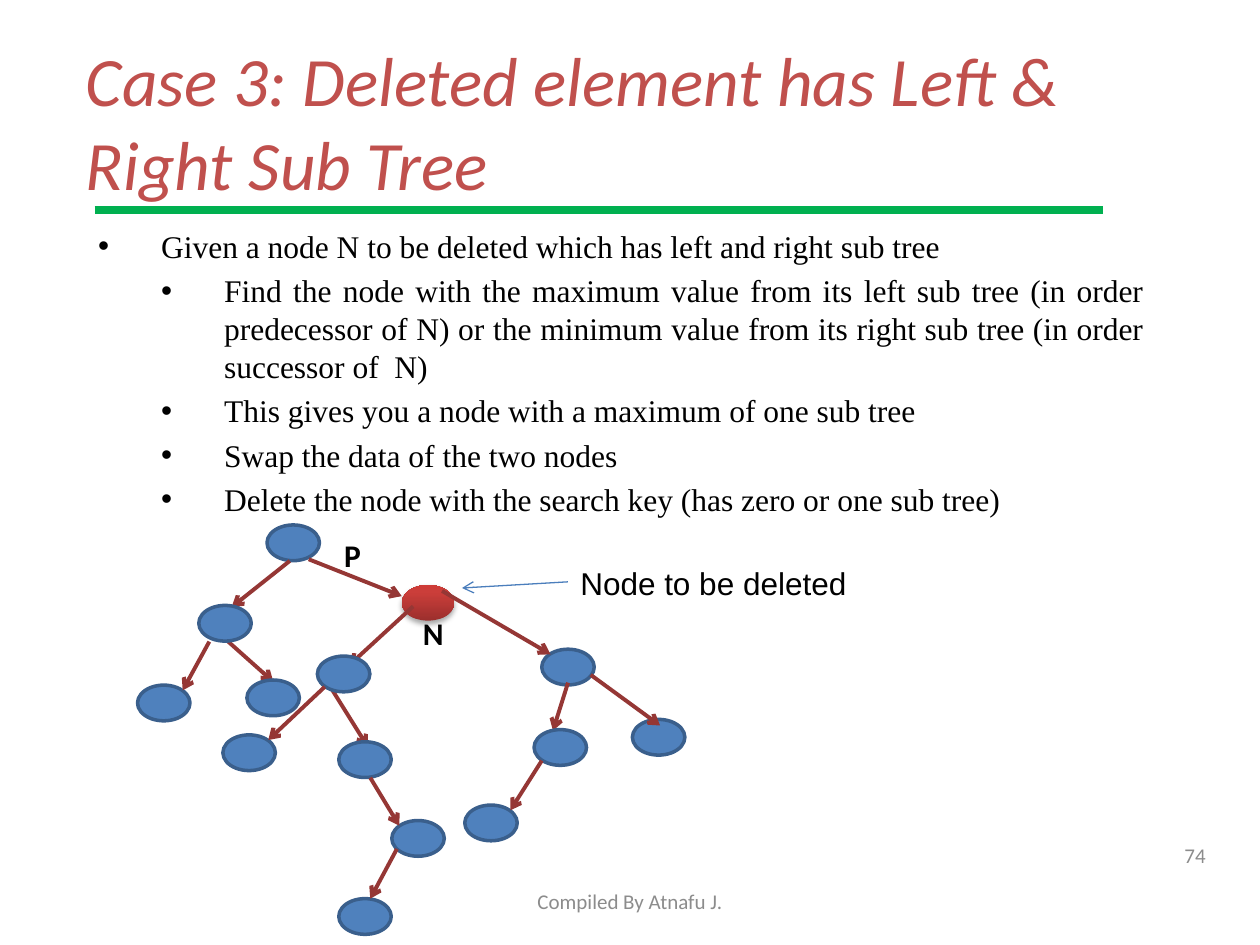
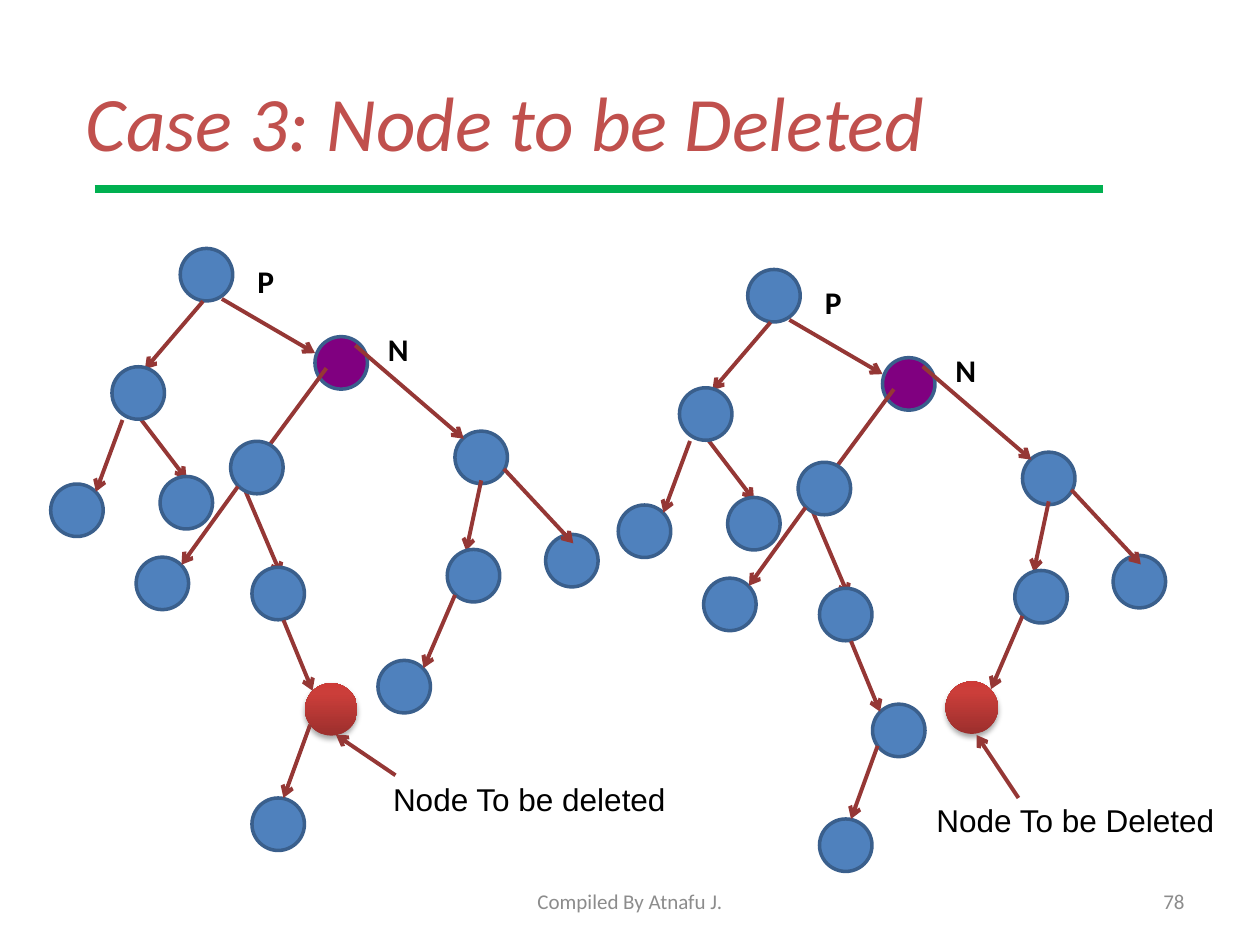
from copy import deepcopy
from lxml.etree import SubElement as Sub
from pptx import Presentation
from pptx.dml.color import RGBColor as Rgb
from pptx.enum.shapes import MSO_CONNECTOR as Link, MSO_SHAPE as Form
from pptx.enum.text import MSO_ANCHOR as Anchor, PP_ALIGN as Align
from pptx.oxml.ns import qn
from pptx.util import Pt

HUES = {
    "title": "C0504D", "rule": "00B050", "text": "000000", "foot": "8C8C8C",
    "node": "4F81BD", "rim": "3A5F8C", "edge": "953735", "note": "4B7EBC",
    "mark": "800080", "dark": "9C2F2D", "mid": "CB3E3A", "top": "CE3B37",
}
FONTS = {
    "title": {"name": "Calibri", "size": Pt(44), "italic": True},
    "body": {"name": "Times New Roman", "size": Pt(18)},
    "note": {"name": "Arial", "size": Pt(18)},
    "label": {"name": "Calibri", "size": Pt(18), "bold": True},
    "foot": {"name": "Calibri", "size": Pt(12)},
}
SIZE = 30
TREE = [
    ("root", (0, 0), None),
    ("lr", (-11.5, 130.3), (-26, 93, 3.6, 131.8)),
    ("left", (-39, 67.6), (13, 30.2, -20.2, 69)),
    ("ll", (-74, 134.6), (-33, 98, -48.2, 139)),
    ("n", (77, 50.4), (23.8, 28.8, 77, 59.8)),
    ("nlr", (41, 182.2), (35.3, 134, 57.6, 186.5)),
    ("nl", (28.8, 110.2), (83.5, 68.4, 46.8, 118)),
    ("nll", (-25.2, 176.4), (33, 136, 0.7, 180.7)),
    ("nr", (157, 104.4), (100, 55.4, 162, 108.7)),
    ("nrl", (152.6, 172), (172, 132.5, 163.4, 172.8)),
    ("nrr", (208.8, 163.4), (185, 126, 224.6, 168.5)),
    ("pre", (71.3, 248.4), (59, 212.4, 75.6, 252.7)),
    ("leaf", (41, 314), (74.2, 272.2, 59, 314)),
    ("suc", (113, 235.4), (157, 198, 139, 239.8)),
]
OVER = {"ll", "nll", "nr", "nrr", "pre", "leaf", "suc"}
BODY = [
    "Given a node N to be deleted which has left and right sub tree",
    "Find the node with the maximum value from its left sub tree (in order "
    "predecessor of N) or the minimum value from its right sub tree (in order "
    "successor of  N)",
    "This gives you a node with a maximum of one sub tree",
    "Swap the data of the two nodes",
    "Delete the node with the search key (has zero or one sub tree)",
]


def hue(key):
    return Rgb.from_string(HUES[key])


def pts(*vals):
    return [Pt(val) for val in vals]


class Deck:
    def __init__(self):
        self.file = Presentation()
        self.file.slide_width, self.file.slide_height = pts(720, 540)

    def page(self, title, rule, num, spot, size=44):
        self.slide = self.file.slides.add_slide(self.file.slide_layouts[6])
        self.text(title, (42, 24, 648, 90), "title", "title",
                  anchor=Anchor.MIDDLE, size=size)
        self.line((54, rule, 630, rule), "rule", 4.25, False)
        self.text(num, (*spot, 168, 29), "foot", "foot", Align.RIGHT, Anchor.MIDDLE)
        self.text("Compiled By Atnafu J.", (246, 500.5, 228, 29), "foot", "foot",
                  Align.CENTER, Anchor.MIDDLE)

    def style(self, para, kind, color, **more):
        for key, val in {**FONTS[kind], **more}.items():
            setattr(para.font, key, val)
        para.font.color.rgb = hue(color)

    def frame(self, box, anchor=Anchor.TOP, wrap=True):
        frame = self.slide.shapes.add_textbox(*pts(*box)).text_frame
        frame.word_wrap, frame.vertical_anchor = wrap, anchor
        return frame

    def text(self, words, box, kind, color="text", align=Align.LEFT,
             anchor=Anchor.TOP, wrap=True, size=None):
        para = self.frame(box, anchor, wrap).paragraphs[0]
        para.text, para.alignment = words, align
        self.style(para, kind, color, **({"size": Pt(size)} if size else {}))

    def list(self, items, box):
        frame = self.frame(box)
        for i, item in enumerate(items):
            para = frame.add_paragraph() if i else frame.paragraphs[0]
            para.text, para.alignment = item, Align.JUSTIFY
            para.level = min(i, 1)
            para.line_spacing = Pt(21.7)
            para.space_before = Pt(3.6 if i else 0)
            props = para._p.get_or_add_pPr()
            props.set("marL", str(Pt(72 if i else 36)))
            props.set("indent", str(Pt(-36)))
            Sub(props, qn("a:buFont"), typeface="Arial")
            Sub(props, qn("a:buChar"), char="•")
            self.style(para, "body", "text")

    def line(self, ends, color="edge", width=2.25, arrow=True):
        link = self.slide.shapes.add_connector(Link.STRAIGHT, *pts(*ends))
        link.line.color.rgb, link.line.width = hue(color), Pt(width)
        if arrow:
            Sub(link.line._get_or_add_ln(), qn("a:tailEnd"), type="arrow")
        Sub(link._element.spPr, qn("a:effectLst"))

    def node(self, box, fill="node"):
        oval = self.slide.shapes.add_shape(Form.OVAL, *pts(*box))
        oval.shadow.inherit = False
        if fill == "red":
            self.gloss(oval)
            return
        oval.fill.solid()
        oval.fill.fore_color.rgb = hue(fill)
        oval.line.color.rgb, oval.line.width = hue("rim"), Pt(2)

    def gloss(self, oval):
        oval.line.fill.background()
        oval.fill.gradient()
        oval.fill.gradient_angle = 90
        props = oval._element.spPr
        stops = props.find(".//" + qn("a:gsLst"))
        stops.append(deepcopy(stops[0]))
        shades = zip(oval.fill.gradient_stops, (0, 0.8, 1), ("dark", "mid", "top"))
        for stop, place, key in shades:
            stop.position, stop.color.rgb = place, hue(key)
        glow = Sub(props.find(qn("a:effectLst")), qn("a:outerShdw"),
                   blurRad=str(Pt(3.1)), dist=str(Pt(1.8)), dir="5400000", rotWithShape="0")
        tint = Sub(glow, qn("a:srgbClr"), val=HUES["text"])
        Sub(tint, qn("a:alpha"), val="35000")

    def tree(self, left, top, fills, label, scale=1.0):
        def put(x, y):
            return left + x, top + y * scale

        for name, spot, edge in TREE:
            ends = edge and (*put(*edge[:2]), *put(*edge[2:]))
            if ends and name not in OVER:
                self.line(ends)
            self.node((*put(*spot), SIZE, SIZE * scale), fills.get(name, "node"))
            if ends and name in OVER:
                self.line(ends)
        self.text("P", (*put(37, 4), 27, 29), "label", wrap=False)
        self.text("N", (left + label[0], top + label[1], 27, 29), "label", wrap=False)


def main():
    deck = Deck()
    deck.page("Case 3: Deleted element has Left & Right Sub Tree", 120, "74",
              (528, 474), 39.6)
    deck.list(BODY, (49, 126, 612, 378))
    deck.tree(152.6, 300, {"n": "red"}, (82, 47.5), 0.68)
    deck.text("Node to be deleted", (324.5, 318.5, 168, 29), "note")
    deck.line((324.5, 332.5, 264, 336), "note", 0.75)

    deck.page("Case 3: Node to be Deleted", 108, "78", (516, 500.5))
    deck.tree(103, 142, {"n": "mark", "pre": "red"}, (111.5, 43))
    deck.text("Node To be deleted", (217.5, 442, 178.5, 29), "note")
    deck.line((226, 443, 192, 420))
    deck.tree(427.3, 154, {"n": "mark", "suc": "red"}, (111.5, 43))
    deck.text("Node To be Deleted", (528, 454, 178.5, 29), "note")
    deck.line((582, 456, 558, 420))
    deck.file.save("out.pptx")


if __name__ == "__main__":
    main()
